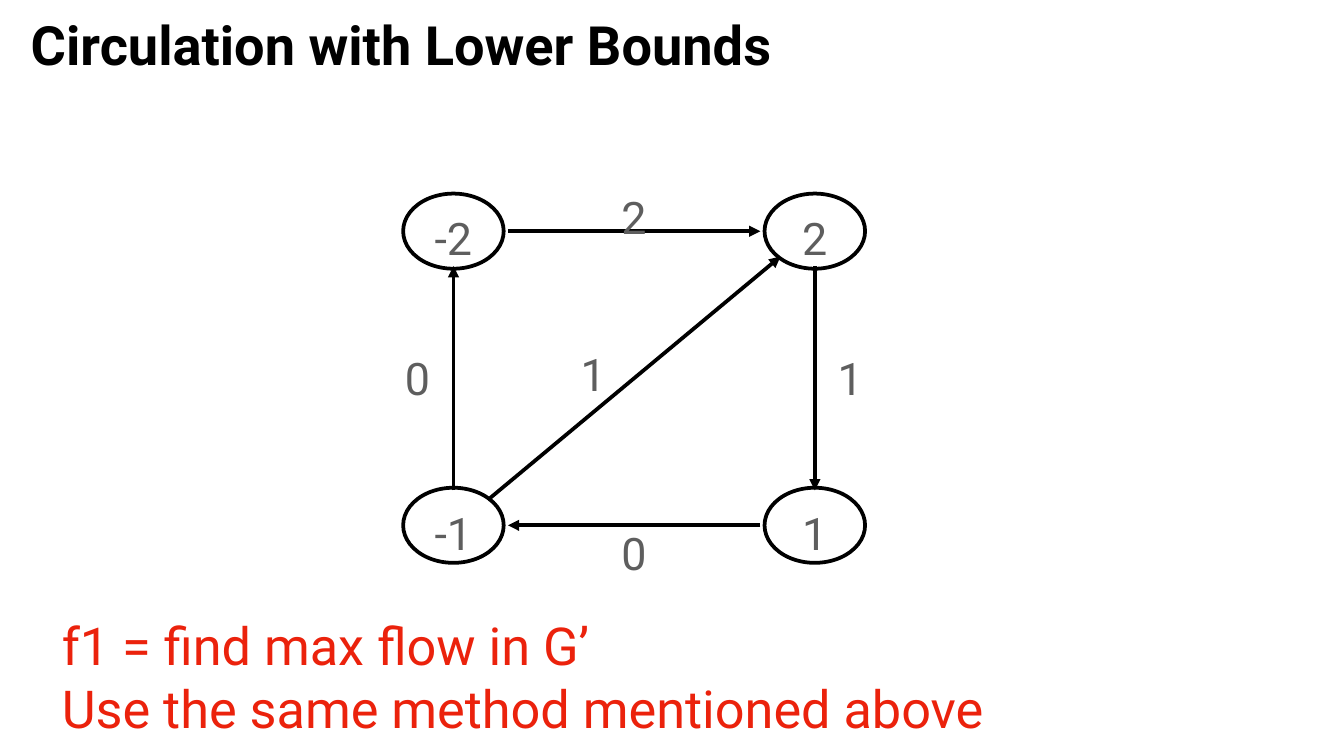
from lxml.etree import SubElement
from pptx import Presentation
from pptx.dml.color import RGBColor
from pptx.enum.shapes import MSO_CONNECTOR, MSO_SHAPE
from pptx.enum.text import MSO_ANCHOR, MSO_AUTO_SIZE, PP_ALIGN
from pptx.oxml.ns import qn
from pptx.util import Cm, Pt

COLORS = {"black": "000000", "gray": "5E5E5E", "red": "EB220C"}
FONT = "Roboto"

TITLE = "Circulation with Lower Bounds"
NOTES = ["f1 = find max flow in G’", "Use the same method mentioned above"]

COLUMNS = {"left": 8.57, "right": 15.4}
ROWS = {"top": 4.37, "bottom": 9.93}
NODES = {
    ("left", "top"): "-2",
    ("left", "bottom"): "-1",
    ("right", "top"): "2",
    ("right", "bottom"): "1",
}
NODE_WIDTH, NODE_HEIGHT = 1.9, 1.42
NODE_LABEL_DROP = 0.13
LABEL_WIDTHS = {1: 0.74, 2: 1.12}
LABEL_HEIGHT = 1.22

ANCHORS = {
    "east": (1.03, 0),
    "west": (-1.03, 0),
    "north": (0, -0.66),
    "south": (0, 0.66),
    "northeast": (0.65, -0.48),
    "southwest": (-0.65, 0.48),
}
EDGES = [
    (("left", "top"), "east", ("right", "top"), "west", "2", (11.98, 4.09)),
    (("left", "bottom"), "northeast", ("right", "top"), "southwest", "1", (11.21, 7.06)),
    (("left", "bottom"), "north", ("left", "top"), "south", "0", (7.89, 7.14)),
    (("right", "top"), "south", ("right", "bottom"), "north", "1", (16.07, 7.14)),
    (("right", "bottom"), "west", ("left", "bottom"), "east", "0", (11.98, 10.44)),
]


def color(name):
    return RGBColor.from_string(COLORS[name])


def write(shape, lines, size, color_name, align=PP_ALIGN.LEFT, bold=False, spacing=1.0):
    frame = shape.text_frame
    frame.text = "\n".join(lines)
    frame.word_wrap = True
    frame.auto_size = MSO_AUTO_SIZE.NONE
    frame.vertical_anchor = MSO_ANCHOR.MIDDLE
    frame.margin_left = frame.margin_right = Cm(0.1)
    frame.margin_top = frame.margin_bottom = Cm(0.1)
    for paragraph in frame.paragraphs:
        paragraph.alignment = align
        paragraph.line_spacing = spacing
        for run in paragraph.runs:
            run.font.name = FONT
            run.font.size = Pt(size)
            run.font.bold = bold
            run.font.color.rgb = color(color_name)


def add_label(slide, text, x, y):
    width = LABEL_WIDTHS[len(text)]
    label = slide.shapes.add_textbox(
        Cm(x - width / 2), Cm(y - LABEL_HEIGHT / 2), Cm(width), Cm(LABEL_HEIGHT))
    write(label, [text], 24, "gray", PP_ALIGN.CENTER)


def add_node(slide, x, y, text):
    node = slide.shapes.add_shape(
        MSO_SHAPE.OVAL, Cm(x - NODE_WIDTH / 2), Cm(y - NODE_HEIGHT / 2),
        Cm(NODE_WIDTH), Cm(NODE_HEIGHT))
    node.shadow.inherit = False
    node.fill.background()
    node.line.color.rgb = color("black")
    node.line.width = Pt(2)
    add_label(slide, text, x, y + NODE_LABEL_DROP)


def anchor_point(node, anchor):
    column, row = node
    dx, dy = ANCHORS[anchor]
    return Cm(COLUMNS[column] + dx), Cm(ROWS[row] + dy)


def add_arrow(slide, start, end):
    arrow = slide.shapes.add_connector(MSO_CONNECTOR.STRAIGHT, *start, *end)
    arrow.line.color.rgb = color("black")
    arrow.line.width = Pt(2)
    SubElement(arrow.line._get_or_add_ln(), qn("a:tailEnd"), type="triangle")
    SubElement(arrow._element.spPr, qn("a:effectLst"))


def main():
    presentation = Presentation()
    presentation.slide_width, presentation.slide_height = Cm(25.4), Cm(14.29)
    slide = presentation.slides.add_slide(presentation.slide_layouts[5])

    title = slide.shapes.title
    title.left, title.top, title.width, title.height = Cm(0.48), Cm(0.36), Cm(15.95), Cm(1.17)
    write(title, [TITLE], 29, "black", bold=True, spacing=0.8)

    for (column, row), text in NODES.items():
        add_node(slide, COLUMNS[column], ROWS[row], text)

    for source, source_anchor, target, target_anchor, text, position in EDGES:
        add_arrow(slide, anchor_point(source, source_anchor), anchor_point(target, target_anchor))
        add_label(slide, text, *position)

    notes = slide.shapes.add_textbox(Cm(1.07), Cm(11.48), Cm(19.3), Cm(2.59))
    write(notes, NOTES, 28, "red")

    presentation.save("out.pptx")


if __name__ == "__main__":
    main()
